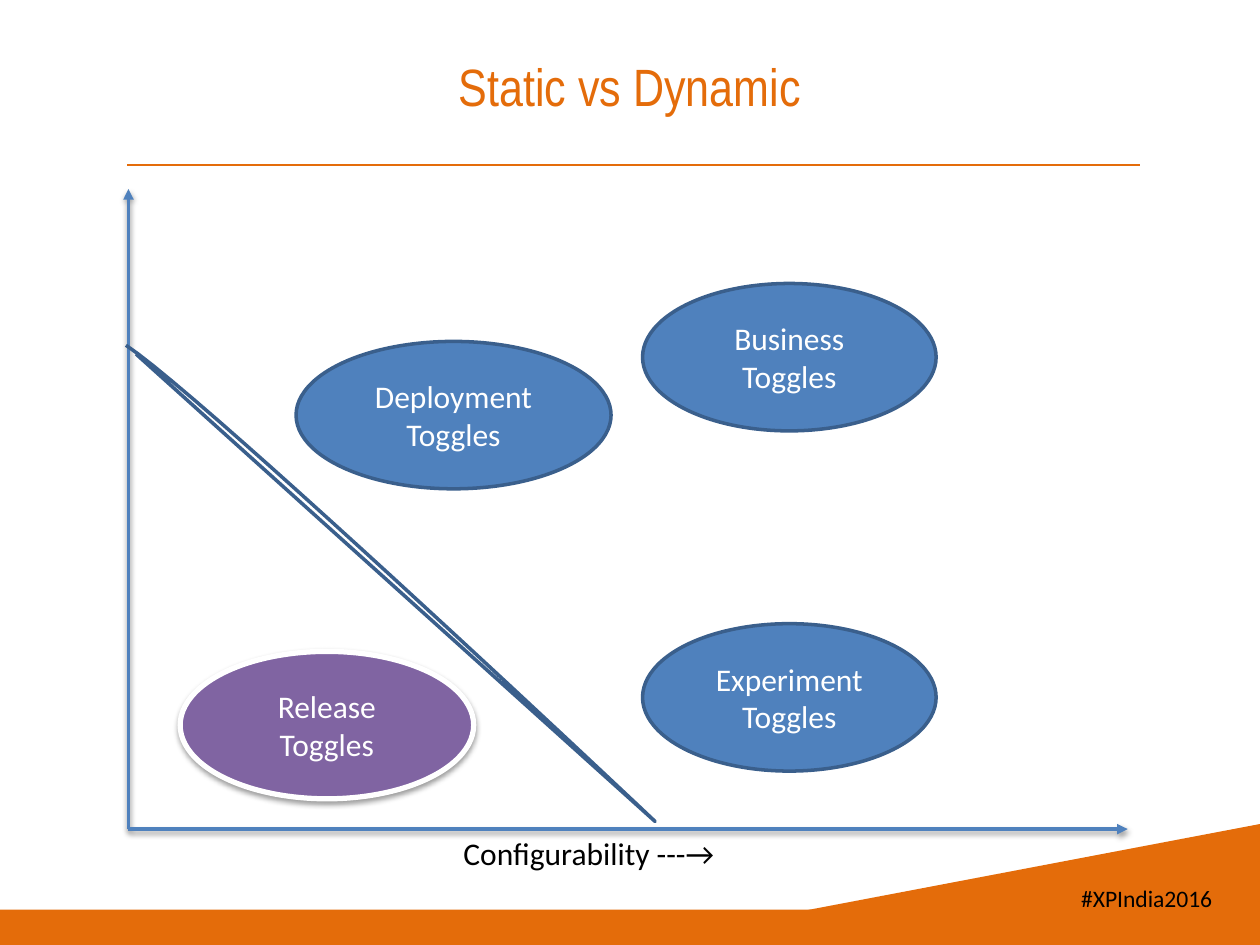
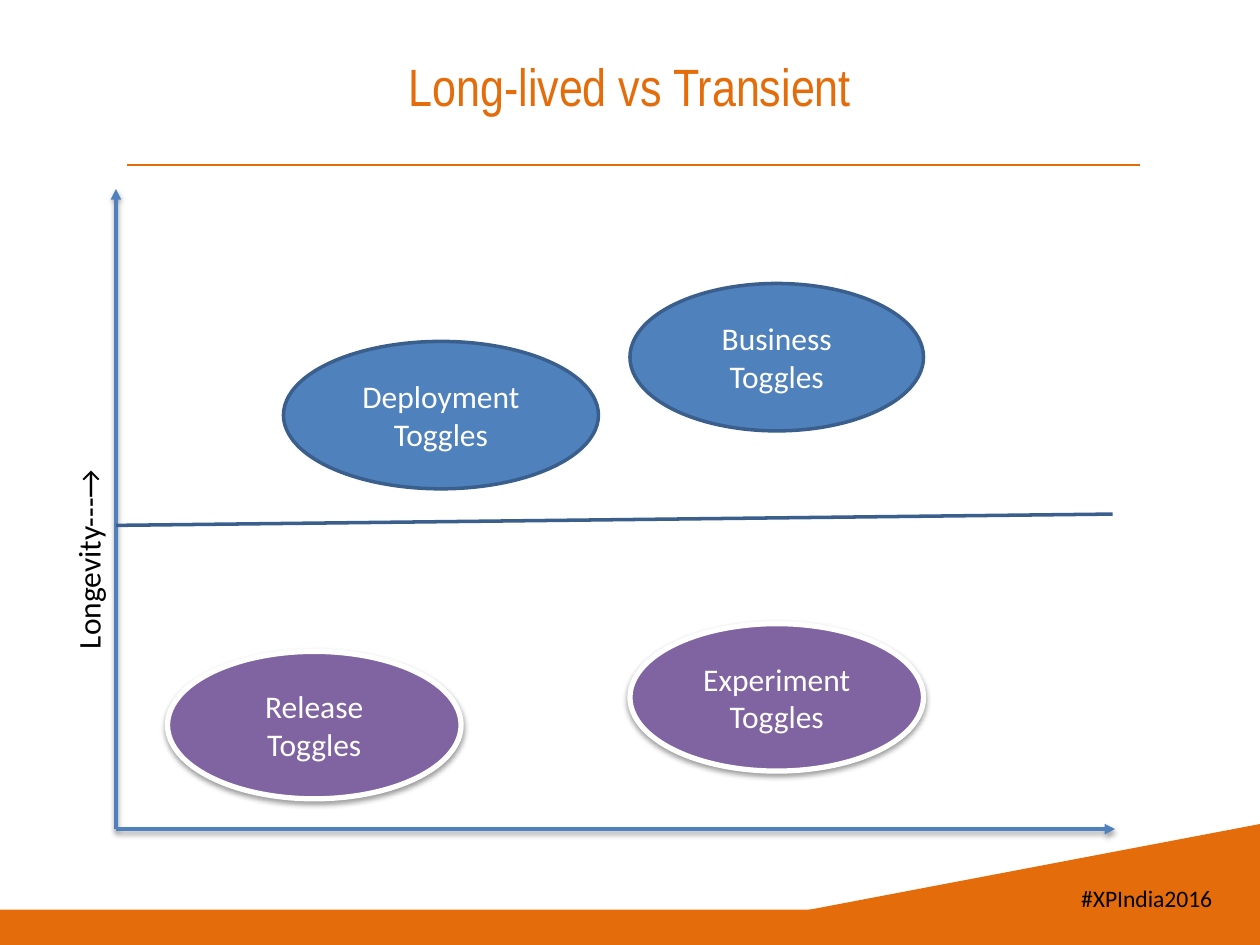
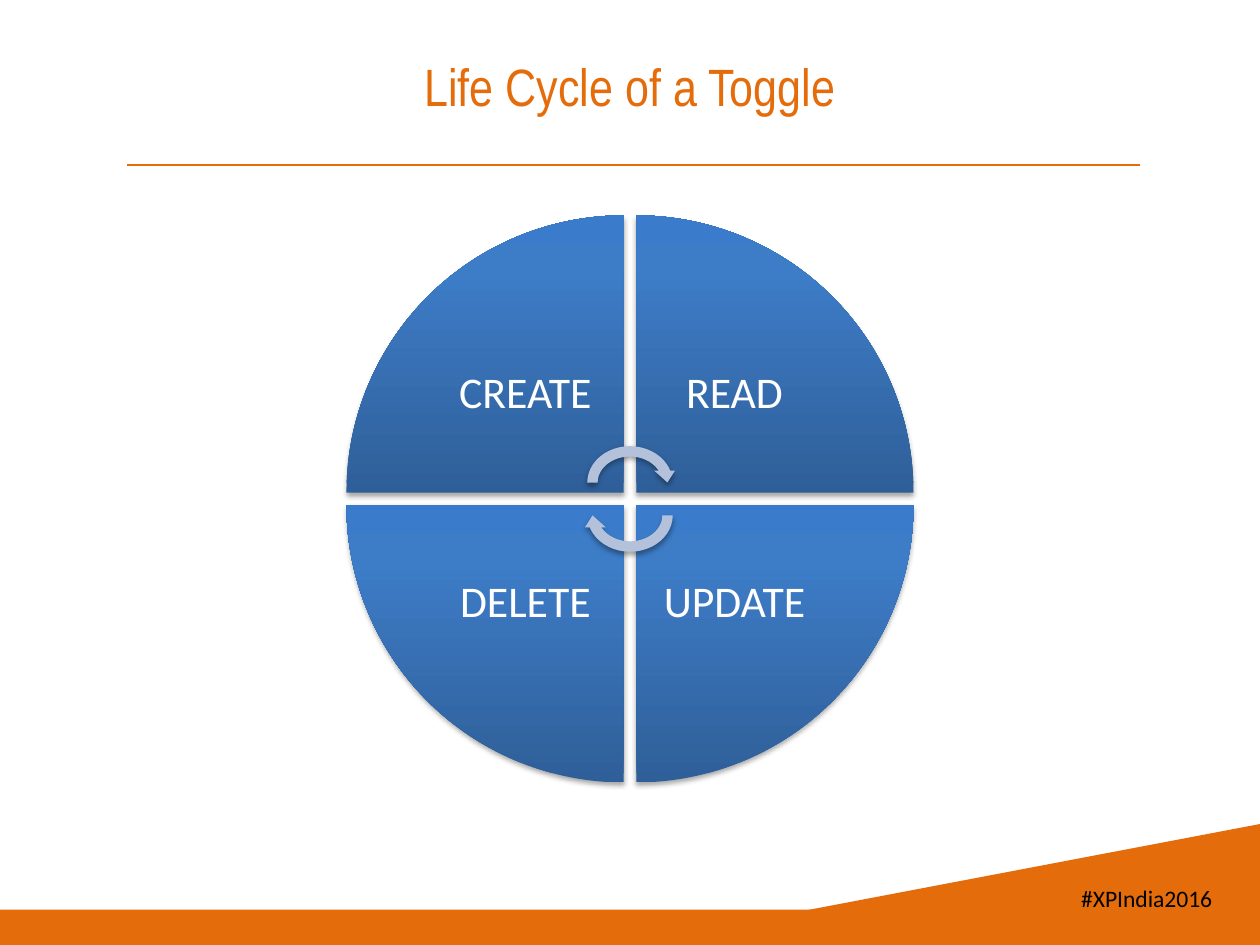
from dataclasses import dataclass

from pptx import Presentation
from pptx.dml.color import RGBColor
from pptx.enum.shapes import MSO_CONNECTOR, MSO_SHAPE
from pptx.enum.text import MSO_ANCHOR, PP_ALIGN
from pptx.oxml import parse_xml
from pptx.oxml.ns import nsdecls, qn
from pptx.shapes.base import BaseShape
from pptx.shapes.connector import Connector
from pptx.slide import Slide, SlideLayout
from pptx.text.text import TextFrame
from pptx.util import Inches, Pt

Point = tuple[float, float]


@dataclass(frozen=True)
class Theme:
    orange: str = "E46C0A"
    blue: str = "4F81BD"
    dark_blue: str = "3A5F8C"
    purple: str = "8064A2"
    pale_blue: str = "B3C1DB"
    white: str = "FFFFFF"
    black: str = "000000"
    wedge_stops: tuple = ((0, "2F5F99"), (80, "3D7CC7"), (100, "3A7CCB"))
    title_font: str = "Arial Narrow"
    body_font: str = "Calibri"
    title_size: float = 30
    phase_size: float = 25
    label_size: float = 18
    hashtag_size: float = 13.5


@dataclass(frozen=True)
class Shadow:
    opacity: int
    blur: float
    distance: float


@dataclass(frozen=True)
class Toggle:
    lines: tuple[str, ...]
    left: float
    top: float
    width: float = 2.33
    height: float = 1.17


@dataclass(frozen=True)
class Phase:
    name: str
    column: int
    row: int
    rotation: int


THEME = Theme()
SOFT = Shadow(38, 3.1, 1.6)
DEEP = Shadow(35, 3.1, 1.8)

# Lefts are measured from the vertical axis.
RELEASE = Toggle(("Release Toggles",), 0.41, 5.17)
BUSINESS = Toggle(("Business", "Toggles"), 4.08, 2.25)
EXPERIMENT = Toggle(("Experiment", "Toggles"), 4.08, 4.95)
DEPLOYMENT = Toggle(("Deployment", "Toggles"), 1.33, 2.71, 2.5)
TOGGLES = (RELEASE, BUSINESS, EXPERIMENT, DEPLOYMENT)

PHASES = (
    Phase("CREATE", 0, 0, 0),
    Phase("READ", 1, 0, 90),
    Phase("UPDATE", 1, 1, 180),
    Phase("DELETE", 0, 1, 270),
)


def rgb(color: str) -> RGBColor:
    return RGBColor.from_string(color)


def box(*lengths: float) -> list[Inches]:
    return [Inches(length) for length in lengths]


def set_effects(shape: BaseShape, shadow: Shadow | None = None) -> None:
    """Replace the theme's effects; call after fill and line are set."""
    outer = ""
    if shadow:
        outer = (
            f'<a:outerShdw blurRad="{Pt(shadow.blur)}" dist="{Pt(shadow.distance)}" '
            f'dir="5400000" rotWithShape="0"><a:srgbClr val="{THEME.black}">'
            f'<a:alpha val="{shadow.opacity * 1000}"/></a:srgbClr></a:outerShdw>'
        )
    shape.element.spPr.append(
        parse_xml(f'<a:effectLst {nsdecls("a")}>{outer}</a:effectLst>')
    )


def paint(shape: BaseShape, fill: str | None, line: str | None = None,
          width: float = 0, shadow: Shadow | None = None) -> None:
    if fill:
        shape.fill.solid()
        shape.fill.fore_color.rgb = rgb(fill)
    else:
        shape.fill.background()
    if line:
        shape.line.color.rgb = rgb(line)
        shape.line.width = Pt(width)
    else:
        shape.line.fill.background()
    set_effects(shape, shadow)


def write(frame: TextFrame, lines: tuple[str, ...], size: float, color: str,
          align: PP_ALIGN = PP_ALIGN.CENTER, font: str = THEME.body_font) -> None:
    frame.text = "\n".join(lines)
    for paragraph in frame.paragraphs:
        paragraph.alignment = align
        paragraph.font.name = font
        paragraph.font.size = Pt(size)
        paragraph.font.color.rgb = rgb(color)


def add_line(slide: Slide, start: Point, end: Point, color: str, width: float,
             shadow: Shadow | None = None) -> Connector:
    line = slide.shapes.add_connector(MSO_CONNECTOR.STRAIGHT, *box(*start, *end))
    line.line.color.rgb = rgb(color)
    line.line.width = Pt(width)
    set_effects(line, shadow)
    return line


def add_outline(slide: Slide, points: list[Point], closed: bool) -> BaseShape:
    start, *rest = [tuple(box(*point)) for point in points]
    builder = slide.shapes.build_freeform(*start)
    builder.add_line_segments(rest, close=closed)
    return builder.convert_to_shape()


def bezier(points: tuple[Point, Point, Point, Point], steps: int = 24) -> list[Point]:
    """Sample a cubic curve, its start left out."""
    def at(t: float) -> Point:
        weights = ((1 - t) ** 3, 3 * t * (1 - t) ** 2, 3 * t * t * (1 - t), t ** 3)
        x, y = (sum(w * p[axis] for w, p in zip(weights, points)) for axis in (0, 1))
        return x, y
    return [at(step / steps) for step in range(1, steps + 1)]


def furnish_layout(layout: SlideLayout, slide: Slide) -> None:
    """Draw the shared parts on a slide, then move them to its layout."""
    title = layout.placeholders[0]
    title.left, title.top, title.width, title.height = box(0.5, 0.05, 9, 1.25)

    band = slide.shapes.add_shape(MSO_SHAPE.RECTANGLE, *box(0, 7.22, 10, 0.28))
    slope = add_outline(
        slide, [(6.11, 7.28), (10, 6.54), (10, 7.44), (6.12, 7.44)], closed=True
    )
    for part in (band, slope):
        paint(part, THEME.orange)
    hashtag = slide.shapes.add_textbox(*box(8.46, 6.97, 1.26, 0.33))
    write(hashtag.text_frame, ("#XPIndia2016",), THEME.hashtag_size, THEME.black,
          PP_ALIGN.RIGHT)
    rule = add_line(slide, (1.01, 1.31), (9.05, 1.31), THEME.orange, 0.75)
    for part in (band, slope, hashtag, rule):
        layout.shapes.element.append(part.element)


def set_title(slide: Slide, text: str) -> None:
    write(slide.shapes.title.text_frame, (text,), THEME.title_size, THEME.orange,
          font=THEME.title_font)


def add_axes(slide: Slide, axis_x: float) -> None:
    origin = (axis_x, 6.58)
    for tip in ((axis_x, 1.5), (axis_x + 7.93, 6.58)):
        axis = add_line(slide, origin, tip, THEME.blue, 2, SOFT)
        axis.element.spPr.find(qn("a:ln")).append(
            parse_xml(f'<a:tailEnd {nsdecls("a")} type="triangle"/>')
        )


def add_toggle_map(slide: Slide, axis_x: float, highlighted: tuple[Toggle, ...]) -> None:
    add_axes(slide, axis_x)
    for toggle in TOGGLES:
        oval = slide.shapes.add_shape(
            MSO_SHAPE.OVAL,
            *box(axis_x + toggle.left, toggle.top, toggle.width, toggle.height),
        )
        if toggle in highlighted:
            paint(oval, THEME.purple, THEME.white, 3, SOFT)
        else:
            paint(oval, THEME.blue, THEME.dark_blue, 2)
        oval.text_frame.vertical_anchor = MSO_ANCHOR.MIDDLE
        write(oval.text_frame, toggle.lines, THEME.label_size, THEME.white)


def add_axis_label(slide: Slide, text: str, left: float, top: float,
                   rotation: int = 0) -> None:
    label = slide.shapes.add_textbox(*box(left, top, 4.42, 0.4))
    label.rotation = rotation
    label.text_frame.word_wrap = True
    write(label.text_frame, (text,), THEME.label_size, THEME.black, PP_ALIGN.LEFT)


def add_phase(slide: Slide, phase: Phase) -> None:
    left, top = 2.75 + 2.3 * phase.column, 1.71 + 2.3 * phase.row
    wedge = slide.shapes.add_shape(MSO_SHAPE.PIE_WEDGE, *box(left, top, 2.2, 2.2))
    wedge.rotation = phase.rotation
    stops = "".join(
        f'<a:gs pos="{position * 1000}"><a:srgbClr val="{color}"/></a:gs>'
        for position, color in THEME.wedge_stops
    )
    wedge.element.spPr.find(qn("a:prstGeom")).addnext(parse_xml(
        f'<a:gradFill {nsdecls("a")} rotWithShape="0"><a:gsLst>{stops}</a:gsLst>'
        '<a:lin ang="16200000" scaled="0"/></a:gradFill>'
    ))
    wedge.line.fill.background()
    set_effects(wedge, DEEP)

    name = slide.shapes.add_textbox(
        *box(3.39 + 1.66 * phase.column, 2.35 + 1.66 * phase.row, 1.56, 1.56)
    )
    frame = name.text_frame
    frame.word_wrap = True
    frame.vertical_anchor = MSO_ANCHOR.MIDDLE
    frame.margin_left = frame.margin_right = Inches(0.19)
    frame.margin_top = frame.margin_bottom = Inches(0.19)
    write(frame, (phase.name,), THEME.phase_size, THEME.white)
    frame.paragraphs[0].line_spacing = 0.9


def build_static_vs_dynamic(slide: Slide) -> None:
    set_title(slide, "Static vs Dynamic")
    add_toggle_map(slide, 1.02, (RELEASE,))
    corner = (5.2, 6.52)
    curve = bezier((corner, (5.19, 6.51), (1.65, 3.17), (1, 2.74)))
    divider = add_outline(slide, [(1.08, 2.81), corner, *curve], closed=False)
    paint(divider, None, THEME.dark_blue, 2)
    add_axis_label(slide, "Configurability ---→", 3.58, 6.57)


def build_long_lived_vs_transient(slide: Slide) -> None:
    set_title(slide, "Long-lived vs Transient")
    add_axis_label(slide, "Longevity---→", -1.51, 2.84, 270)
    add_toggle_map(slide, 0.92, (RELEASE, EXPERIMENT))
    add_line(slide, (0.92, 4.17), (8.83, 4.08), THEME.dark_blue, 2)


def build_life_cycle(slide: Slide) -> None:
    set_title(slide, "Life Cycle of a Toggle")
    for phase in PHASES:
        add_phase(slide, phase)
    for top, rotation in ((3.5, 0), (3.76, 180)):
        turn = slide.shapes.add_shape(
            MSO_SHAPE.CIRCULAR_ARROW, *box(4.62, top, 0.76, 0.66)
        )
        turn.rotation = rotation
        paint(turn, THEME.pale_blue, shadow=DEEP)


def main() -> None:
    deck = Presentation()
    deck.slide_width, deck.slide_height = box(10, 7.5)
    title_only = deck.slide_layouts[5]
    builders = (build_static_vs_dynamic, build_long_lived_vs_transient, build_life_cycle)
    slides = [deck.slides.add_slide(title_only) for _ in builders]
    furnish_layout(title_only, slides[0])
    for build, slide in zip(builders, slides):
        build(slide)
    deck.save("out.pptx")


if __name__ == "__main__":
    main()
